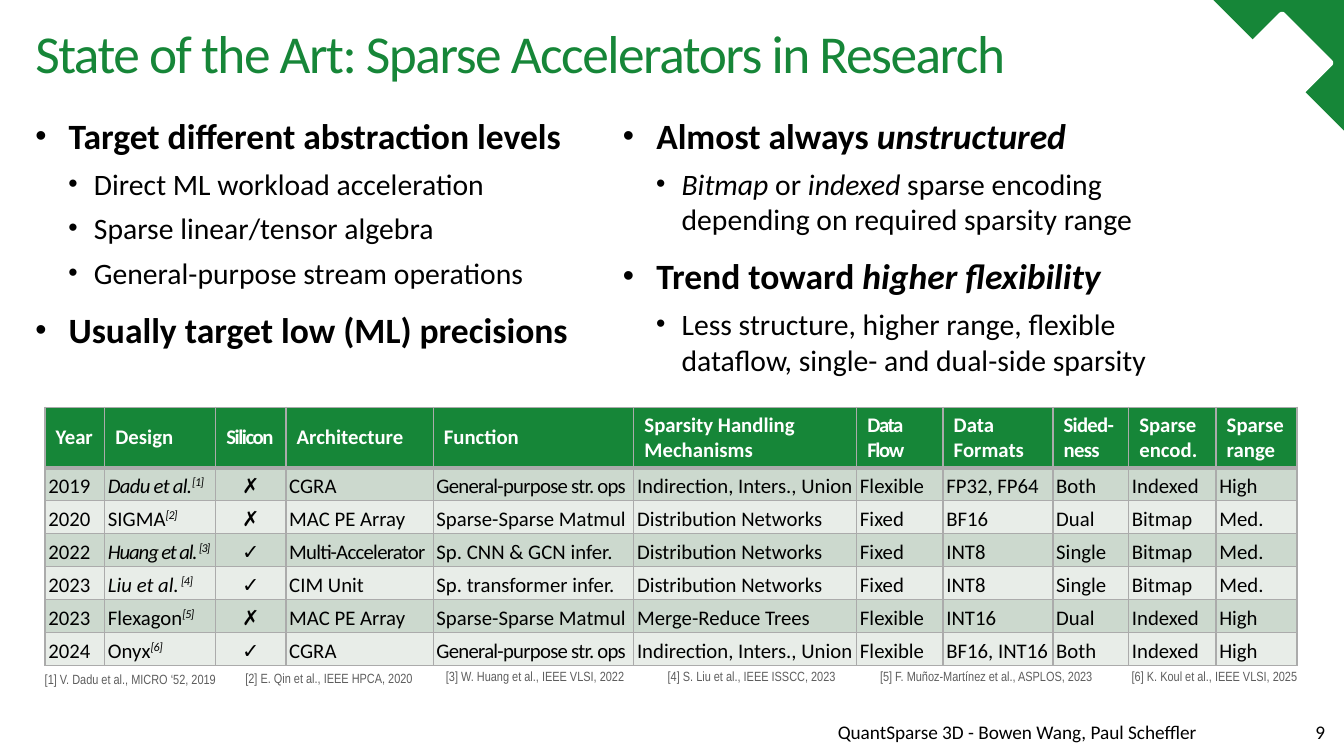
from copy import deepcopy
from pptx import Presentation
from pptx.dml.color import RGBColor
from pptx.enum.shapes import MSO_SHAPE
from pptx.enum.text import MSO_ANCHOR, PP_ALIGN
from pptx.oxml.ns import qn
from pptx.util import Pt
from lxml.etree import SubElement

TITLE = "State of the Art: Sparse Accelerators in Research"
POINTS = [
    (23.8, 366.5, [
        (0, "Target different abstraction levels"),
        (1, "Direct ML workload acceleration"),
        (1, "Sparse linear/tensor algebra"),
        (1, "General-purpose stream operations"),
        (0, "Usually target low (ML) precisions"),
    ]),
    (420.5, 361.5, [
        (0, "Almost always *unstructured*"),
        (1, "*Bitmap* or *indexed* sparse encoding\ndepending on required sparsity range"),
        (0, "Trend toward *higher flexibility*"),
        (1, "Less structure, higher range, flexible\ndataflow, single- and dual-side sparsity"),
    ]),
]
ROWS = [
    ("Year", "Design", "Silicon", "Architecture", "Function", "Sparsity Handling\nMechanisms",
     "Data\nFlow", "Data\nFormats", "Sided-\nness", "Sparse encod.", "Sparse range"),
    ("2019", "*Dadu et al.**[1]*", "✗", "CGRA", "General-purpose str. ops",
     "Indirection, Inters., Union", "Flexible", "FP32, FP64", "Both", "Indexed", "High"),
    ("2020", "SIGMA*[2]*", "✗", "MAC PE Array", "Sparse-Sparse Matmul",
     "Distribution Networks", "Fixed", "BF16", "Dual", "Bitmap", "Med."),
    ("2022", "*Huang et al.** [3]*", "✓", "Multi-Accelerator", "Sp. CNN & GCN infer.",
     "Distribution Networks", "Fixed", "INT8", "Single", "Bitmap", "Med."),
    ("2023", "*Liu et al.** [4]*", "✓", "CIM Unit", "Sp. transformer infer.",
     "Distribution Networks", "Fixed", "INT8", "Single", "Bitmap", "Med."),
    ("2023", "Flexagon*[5]*", "✗", "MAC PE Array", "Sparse-Sparse Matmul",
     "Merge-Reduce Trees", "Flexible", "INT16", "Dual", "Indexed", "High"),
    ("2024", "Onyx*[6]*", "✓", "CGRA", "General-purpose str. ops",
     "Indirection, Inters., Union", "Flexible", "BF16, INT16", "Both", "Indexed", "High"),
]
WIDTHS = [40.3, 74.9, 47.5, 99.4, 135.4, 150.5, 58.3, 74.2, 51.1, 59, 54.7]
SOURCES = [
    (30.2, 452.9, 116.6, "[1] V. Dadu et al., MICRO ‘52, 2019"),
    (165.6, 452.2, 116.6, "[2] E. Qin et al., IEEE HPCA, 2020"),
    (301, 451.4, 126.7, "[3] W. Huang et al., IEEE VLSI, 2022"),
    (450.7, 451.4, 126.7, "[4] S. Liu et al., IEEE ISSCC, 2023"),
    (594, 451.4, 149.8, "[5] F. Muñoz-Martínez et al., ASPLOS, 2023"),
    (763.9, 451.4, 113.8, "[6] K. Koul et al., IEEE VLSI, 2025"),
]
FOOTER = [(275.8, 538.6, "QuantSparse 3D - Bowen Wang, Paul Scheffler"), (859, 42.5, "9")]
TRACK = {TITLE: -1, "Silicon": -1, "Data\nFlow": -1, "Sided-\nness": -0.5,
         "Dadu et al.": -0.5, "Huang et al.": -0.8, " [3]": -0.8,
         "General-purpose str. ops": -0.5, "Multi-Accelerator": -0.5}
THEME = {
    "font": "Calibri", "narrow": "Arial Narrow",
    "green": "168638", "white": "FFFFFF", "black": "000000", "grey": "5D5D5D",
    "line": "ABABAB", "bands": ("E8EDE8", "CCD9CE"),
    "title": 36, "levels": (24, 20), "cell": 14, "foot": 13, "source": 9,
}


def write(par, text, size, color="black", bold=False, font="font"):
    for n, piece in enumerate(text.split("*")):
        ref = n % 2 == 1 and piece.endswith("]")
        for m, line in enumerate(piece.split("\n") if piece else []):
            if m:
                par.add_line_break()
            run = par.add_run()
            run.text = line
            face = run.font
            face.size, face.bold, face.italic = Pt(size), bold, n % 2 == 1
            face.name = THEME[font]
            face.color.rgb = RGBColor.from_string(THEME[color])
            props = run._r.get_or_add_rPr()
            props.set("spc", str(round(100 * TRACK.get(piece, -0.5 if ref else 0))))
            if ref:
                props.set("baseline", "30000")
    for gap in par._p.findall(qn("a:br")):
        gap.insert(0, deepcopy(par.runs[0]._r.rPr))


def add_box(left, top, width, height, inset=(0, 0), anchor=MSO_ANCHOR.TOP, wrap=True):
    frame = slide.shapes.add_textbox(Pt(left), Pt(top), Pt(width), Pt(height)).text_frame
    frame.margin_left = frame.margin_right = Pt(inset[0])
    frame.margin_top = frame.margin_bottom = Pt(inset[1])
    frame.vertical_anchor, frame.word_wrap = anchor, wrap
    return frame


def add_mark(kind, left, top, side, turn, color, adjust):
    shape = slide.shapes.add_shape(kind, Pt(left), Pt(top), Pt(side), Pt(side))
    shape.rotation, shape.adjustments[0] = turn, adjust
    shape.shadow.inherit = False
    shape.fill.solid()
    shape.fill.fore_color.rgb = RGBColor.from_string(THEME[color])
    shape.line.fill.background()


def add_bullet(par, level):
    props = par._p.get_or_add_pPr()
    props.set("marL", str(Pt((22.5, 39.6)[level])))
    props.set("indent", str(-Pt((22.5, 17.3)[level])))
    tint = SubElement(props, qn("a:buClr"))
    SubElement(tint, qn("a:srgbClr"), val=THEME["black"])
    SubElement(props, qn("a:buSzPct"), val="90000")
    SubElement(props, qn("a:buFont"), typeface="Arial")
    SubElement(props, qn("a:buChar"), char="•")


def add_rules(cell, row):
    props = cell._tc.get_or_add_tcPr()
    for side in "LRTB":
        thick = (row, side) in ((0, "B"), (1, "T"))
        rule = SubElement(props, qn("a:ln" + side), w=str(Pt(3 if thick else 1)))
        fill = SubElement(rule, qn("a:solidFill"))
        SubElement(fill, qn("a:srgbClr"), val=THEME["line"])


def add_grid():
    frame = slide.shapes.add_table(len(ROWS), len(WIDTHS), Pt(30.4), Pt(275),
                                   Pt(sum(WIDTHS)), Pt(174.1))
    table = frame.table
    table.horz_banding = False
    for col, width in zip(table.columns, WIDTHS):
        col.width = Pt(width)
    for r, row in enumerate(ROWS):
        table.rows[r].height = Pt(22.3 if r else 40.3)
        for c, text in enumerate(row):
            cell = table.cell(r, c)
            add_rules(cell, r)
            cell.fill.solid()
            back = THEME["bands"][r % 2] if r else THEME["green"]
            cell.fill.fore_color.rgb = RGBColor.from_string(back)
            cell.margin_left = cell.margin_right = Pt(2.2 if r else 7.2)
            cell.margin_top = cell.margin_bottom = Pt(1.4 if r else 3.6)
            cell.vertical_anchor = MSO_ANCHOR.BOTTOM if r else MSO_ANCHOR.MIDDLE
            par = cell.text_frame.paragraphs[0]
            if r and c == 2:
                par.alignment = PP_ALIGN.CENTER
            write(par, text, THEME["cell"], "black" if r else "white", r == 0)


deck = Presentation()
deck.slide_width, deck.slide_height = Pt(907.2), Pt(510.48)
slide = deck.slides.add_slide(deck.slide_layouts[6])

add_mark(MSO_SHAPE.ISOSCELES_TRIANGLE, 819, 0, 88.2, 270, "green", 1)
add_mark(MSO_SHAPE.ROUNDED_RECTANGLE, 825.1, 28.1, 28.1, 45, "white", 0.05)
add_mark(MSO_SHAPE.ROUNDED_RECTANGLE, 840.2, 17.3, 50.4, 45, "white", 0.05)

head = add_box(23.8, 13.7, 793.4, 49, anchor=MSO_ANCHOR.MIDDLE).paragraphs[0]
head.line_spacing = 0.9
write(head, TITLE, THEME["title"], "green")

for left, width, items in POINTS:
    frame = add_box(left, 73.4, width, 179.3, (0, 3.6))
    for n, (level, text) in enumerate(items):
        par = frame.add_paragraph() if n else frame.paragraphs[0]
        par.level = level
        add_bullet(par, level)
        if n:
            par.space_before = Pt((12, 6)[level])
        write(par, text, THEME["levels"][level], bold=level == 0)

add_grid()

for left, width, text in FOOTER:
    par = add_box(left, 483.1, width, 22.3, (7.2, 3.6), MSO_ANCHOR.BOTTOM).paragraphs[0]
    par.alignment = PP_ALIGN.RIGHT
    write(par, text, THEME["foot"])

for left, top, width, text in SOURCES:
    par = add_box(left, top, width, 13.7, wrap=False).paragraphs[0]
    write(par, text, THEME["source"], "grey", font="narrow")

deck.save("out.pptx")
